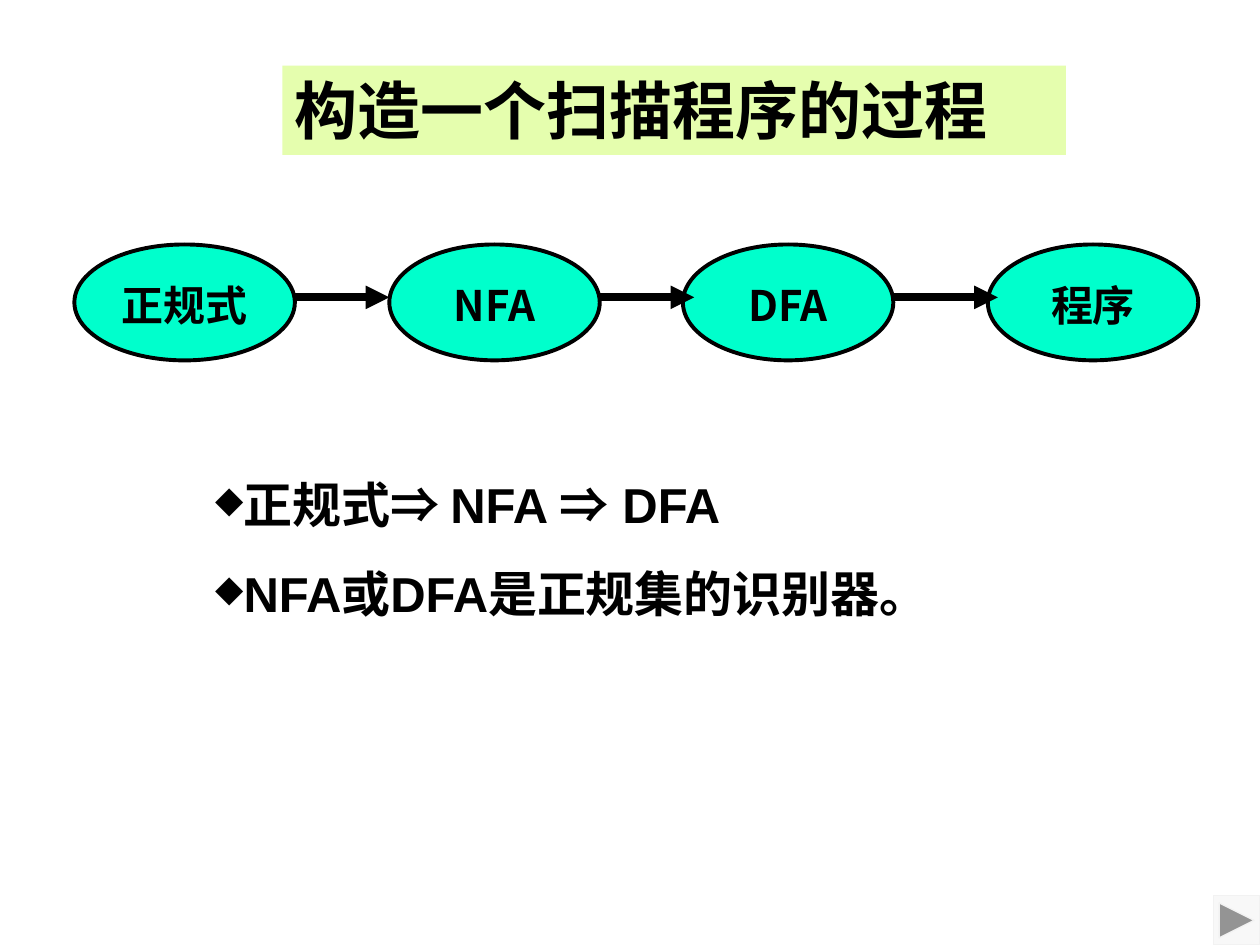
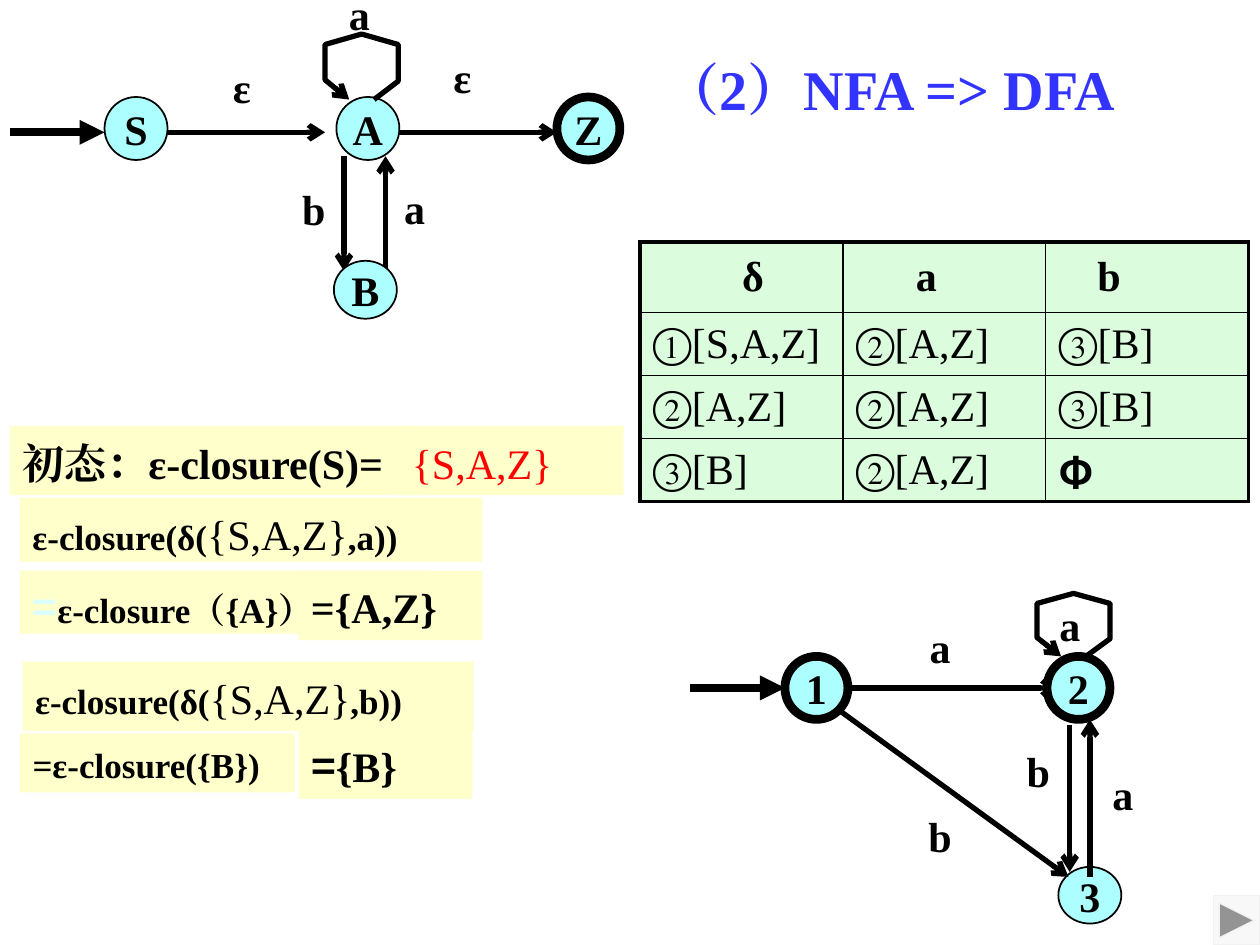
import pptx
import pptx.util
import pptx.dml.color
import pptx.enum.shapes
import pptx.enum.text
import pptx.oxml.ns
import lxml.etree

Inches = pptx.util.Inches
Pt = pptx.util.Pt
qn = pptx.oxml.ns.qn
SHAPE = pptx.enum.shapes.MSO_SHAPE
MIDDLE = pptx.enum.text.MSO_ANCHOR.MIDDLE
CENTER = pptx.enum.text.PP_ALIGN.CENTER

COLORS = {
    "ink": "000000", "title_band": "E5FEAE", "stage": "00FFCC",
    "heading": "3333FF", "state": "ADFFFF", "cell": "DBFDDE",
    "note": "FFFFCC", "result": "FF0000", "pale": "D9FFFF",
    "button": "F8F8F8", "button_edge": "F2F2F2",
}
HAN, SANS, SERIF = "Noto Sans CJK SC", "Arial", "Times New Roman"


def rgb(name):
    return pptx.dml.color.RGBColor.from_string(COLORS[name])


def set_font(font, properties, face=None, size=None, color=None, bold=None):
    """Set the given traits; the face also serves East Asian text."""
    if size:
        font.size = Pt(size)
    if bold is not None:
        font.bold = bold
    if color:
        font.color.rgb = rgb(color)
    if face:
        font.name = face
        lxml.etree.SubElement(properties, qn("a:ea")).set("typeface", face)


def write(paragraph, runs, face, size=24, color="ink", bold=True, spacing=None):
    """Fill a paragraph with a string, or with (text, font changes) pairs."""
    if spacing:
        paragraph.line_spacing = spacing
    font = paragraph.font
    font.size = Pt(size)
    set_font(font, paragraph._p.pPr.find(qn("a:defRPr")), face, size, color, bold)
    for text, changes in [(runs, {})] if isinstance(runs, str) else runs:
        run = paragraph.add_run()
        run.text = text
        if changes:
            set_font(run.font, run._r.get_or_add_rPr(), **changes)


def add_filled(slide, kind, box, fill, edge=None, weight=1):
    shape = slide.shapes.add_shape(kind, *map(Inches, box))
    shape.shadow.inherit = False
    shape.fill.solid()
    shape.fill.fore_color.rgb = rgb(fill)
    if edge:
        shape.line.color.rgb = rgb(edge)
        shape.line.width = Pt(weight)
    else:
        shape.line.fill.background()
    return shape


def add_block(slide, box, fill, runs, face, **style):
    """A borderless rectangle with text from its top left corner."""
    frame = add_filled(slide, SHAPE.RECTANGLE, box, fill).text_frame
    frame.word_wrap = True
    frame.vertical_anchor = pptx.enum.text.MSO_ANCHOR.TOP
    frame.paragraphs[0].alignment = pptx.enum.text.PP_ALIGN.LEFT
    write(frame.paragraphs[0], runs, face, **style)


def add_oval(slide, box, fill, weight, text, face, **style):
    frame = add_filled(slide, SHAPE.OVAL, box, fill, "ink", weight).text_frame
    frame.word_wrap = False
    frame.vertical_anchor = MIDDLE
    frame.paragraphs[0].alignment = CENTER
    write(frame.paragraphs[0], text, face, **style)


def add_text(slide, box, text, face, wrap=True, **style):
    frame = slide.shapes.add_textbox(*map(Inches, box)).text_frame
    frame.word_wrap = wrap
    write(frame.paragraphs[0], text, face, **style)


def point_line(line, weight, head):
    line.color.rgb = rgb("ink")
    line.width = Pt(weight)
    tail = lxml.etree.SubElement(line._get_or_add_ln(), qn("a:tailEnd"))
    tail.set("type", head)


def add_arrow(slide, start, end, weight=3, head="arrow"):
    straight = pptx.enum.shapes.MSO_CONNECTOR.STRAIGHT
    arrow = slide.shapes.add_connector(straight, *map(Inches, (*start, *end)))
    point_line(arrow.line, weight, head)
    lxml.etree.SubElement(arrow._element.spPr, qn("a:effectLst"))


def add_next_button(slide):
    add_filled(slide, SHAPE.ACTION_BUTTON_FORWARD_OR_NEXT,
               (9.63, 7.11, 0.37, 0.39), "button", "button_edge", 0.75)


def add_pipeline(slide, left, top):
    """Four stages joined by arrows."""
    stages = [("正规式", 0, 1.75), ("NFA", 2.5, 1.67),
              ("DFA", 4.83, 1.67), ("程序", 7.25, 1.67)]
    for text, offset, width in stages:
        add_oval(slide, (left + offset, top, width, 0.92), "stage", 2.25,
                 text, HAN, spacing=1.1)
    reaches = (0.75, 0.75, 0.83)
    for (_, offset, width), reach in zip(stages, reaches):
        start = left + offset + width
        add_arrow(slide, (start, top + 0.42), (start + reach, top + 0.42),
                  4.5, "triangle")


def add_bullets(slide, box, items):
    frame = slide.shapes.add_textbox(*map(Inches, box)).text_frame
    frame.word_wrap = True
    for index, runs in enumerate(items):
        paragraph = frame.add_paragraph() if index else frame.paragraphs[0]
        if index:
            paragraph.space_before = Pt(14)
        paragraph.line_spacing = 1.1
        properties = paragraph._p.get_or_add_pPr()
        lxml.etree.SubElement(properties, qn("a:buSzPct")).set("val", "75000")
        lxml.etree.SubElement(properties, qn("a:buChar")).set("char", "◆")
        write(paragraph, runs, SANS, 28)


def add_loop(slide, left, top, height):
    width = 0.58
    outline = [(0.67, 1), (1, 0.72), (1, 0.16), (0.5, 0),
               (0, 0.16), (0, 0.7), (0.33, 1)]
    points = [(Inches(left + x * width), Inches(top + y * height))
              for x, y in outline]
    builder = slide.shapes.build_freeform(*points[0])
    builder.add_line_segments(points[1:], close=False)
    loop = builder.convert_to_shape()
    loop.shadow.inherit = False
    loop.fill.background()
    point_line(loop.line, 3, "arrow")


def add_automaton(slide, left, top, entry, states, behind, front, loop, labels):
    """States with arrows below and above them; places are relative."""
    def place(x, y):
        return left + x, top + y

    def add_edges(edges):
        for start, end in edges:
            add_arrow(slide, place(*start), place(*end))

    add_edges(behind)
    for name, x, y, height, weight in states:
        add_oval(slide, (*place(x, y), 0.5, height), "state", weight, name, SERIF)
    add_edges(front)
    add_arrow(slide, place(0, entry), place(0.75, entry), 4.75, "triangle")
    x, y, height = loop
    add_loop(slide, *place(x, y), height)
    for text, x, y in labels:
        add_text(slide, (*place(x, y), 0.4, 0.5), text, SERIF, wrap=False)


def set_borders(cell, weights):
    properties = cell._tc.get_or_add_tcPr()
    for index, (side, weight) in enumerate(zip("LRTB", weights)):
        edge = lxml.etree.Element(qn(f"a:ln{side}"), w=str(Pt(weight)))
        fill = lxml.etree.SubElement(edge, qn("a:solidFill"))
        lxml.etree.SubElement(fill, qn("a:srgbClr")).set("val", COLORS["ink"])
        properties.insert(index, edge)


def add_transitions(slide, left, top):
    """The transition table of the DFA."""
    rows = [("δ", "a", "b"),
            ("①[S,A,Z]", "②[A,Z]", "③[B]"),
            ("②[A,Z]", "②[A,Z]", "③[B]"),
            ("③[B]", "②[A,Z]", "Φ")]
    heading_indents = (0.81, 0.58, 0.41)
    heights = (0.56, 0.5, 0.5, 0.5)
    last_row, last_column = len(rows) - 1, len(rows[0]) - 1
    table = slide.shapes.add_table(
        len(rows), len(rows[0]), Inches(left), Inches(top),
        Inches(4.84), Inches(sum(heights))).table
    table.first_row = table.horz_banding = False
    for column in table.columns:
        column.width = Inches(1.61)
    for r, texts in enumerate(rows):
        table.rows[r].height = Inches(heights[r])
        for c, text in enumerate(texts):
            cell = table.cell(r, c)
            cell.margin_left = Inches(0.1 if r else heading_indents[c])
            cell.margin_right = cell.margin_top = cell.margin_bottom = 0
            cell.vertical_anchor = MIDDLE
            cell.fill.solid()
            cell.fill.fore_color.rgb = rgb("cell")
            set_borders(cell, [2.25 if outer else 1 for outer in
                               (c == 0, c == last_column, r == 0, r == last_row)])
            is_empty_set = text == "Φ"
            write(cell.text_frame.paragraphs[0], text,
                  HAN if is_empty_set else SERIF, bold=r == 0 or is_empty_set)


def add_closures(slide, left, top):
    """The steps that work out the state sets."""
    def closure_of(symbol):
        return [("ε-closure(δ(", {}), ("{S,A,Z}", {"size": 24, "bold": False}),
                (f",{symbol}))", {})]

    plain_result = {"color": "result", "bold": False}
    steps = [
        (0, 0, 3.25, 0.55, 24, "初态：ε-closure(S)="),
        (3.09, 0, 1.78, 0.55, 24, [("{S,A,Z}", plain_result)]),
        (0.08, 0.57, 3.67, 0.51, 20, closure_of("a")),
        (0.08, 1.15, 3.25, 0.5, 20,
         [("=", {"face": HAN, "size": 24, "color": "pale"}),
          ("ε-closure（{A}）", {})]),
        (2.29, 1.15, 1.46, 0.55, 24, "={A,Z}"),
        (0.1, 1.87, 3.58, 0.55, 20, closure_of("b")),
        (0.08, 2.44, 2.18, 0.47, 20, "=ε-closure({B})"),
        (2.29, 2.41, 1.38, 0.55, 24, [("=", {"face": HAN}), ("{B}", {})]),
    ]
    for x, y, width, height, size, runs in steps:
        add_block(slide, (left + x, top + y, width, height), "note", runs,
                  SERIF, size=size, spacing=1.1)


def build_process_slide(slide):
    add_block(slide, (2.24, 0.52, 6.22, 0.71), "title_band",
              "构造一个扫描程序的过程", HAN, size=36)
    han = {"face": HAN}
    add_bullets(slide, (1.61, 3.67, 6.93, 1.36), [
        [("正规式", {}), ("⇒ ", han), ("NFA ", {}), ("⇒", han), (" DFA", {})],
        "NFA或DFA是正规集的识别器。"])
    add_pipeline(slide, 0.59, 1.94)
    add_next_button(slide)


def build_conversion_slide(slide):
    add_text(slide, (5.17, 0.33, 4.25, 0.69), "（2）NFA => DFA", SERIF,
             size=32, color="heading", spacing=1.1)
    add_transitions(slide, 5.08, 1.92)
    add_automaton(
        slide, 5.48, 4.71, entry=0.75,
        states=[("3", 2.92, 2.17, 0.45, 1), ("2", 2.83, 0.5, 0.5, 5),
                ("1", 0.75, 0.5, 0.5, 5)],
        behind=[((1.25, 0.75), (2.92, 0.75))],
        front=[((1.17, 0.92), (3, 2.25)), ((3.17, 2.25), (3.17, 1)),
               ((3.01, 1.04), (3.01, 2.21))],
        loop=(2.75, 0, 0.5),
        labels=[("a", 2.83, 0), ("a", 1.8, 0.17), ("a", 3.25, 1.34),
                ("b", 1.79, 1.67), ("b", 2.57, 1.16)])
    add_closures(slide, 0.08, 3.38)
    add_automaton(
        slide, 0.08, 0.27, entry=0.78,
        states=[("S", 0.75, 0.5, 0.5, 1), ("Z", 4.34, 0.5, 0.5, 5),
                ("A", 2.59, 0.5, 0.5, 1), ("B", 2.57, 1.8, 0.46, 1)],
        behind=[((1.25, 0.78), (2.5, 0.78)), ((2.65, 0.97), (2.65, 1.88)),
                ((2.98, 1.88), (2.98, 0.97))],
        front=[((3.09, 0.78), (4.34, 0.78))],
        loop=(2.5, 0, 0.52),
        labels=[("a", 2.59, -0.41), ("ε", 1.67, 0.17), ("ε", 3.42, 0.09),
                ("a", 3.03, 1.13), ("b", 2.22, 1.14)])
    add_next_button(slide)


def main():
    deck = pptx.Presentation()
    deck.slide_width, deck.slide_height = Inches(10), Inches(7.5)
    for build in (build_process_slide, build_conversion_slide):
        build(deck.slides.add_slide(deck.slide_layouts[6]))
    deck.save("out.pptx")


if __name__ == "__main__":
    main()
